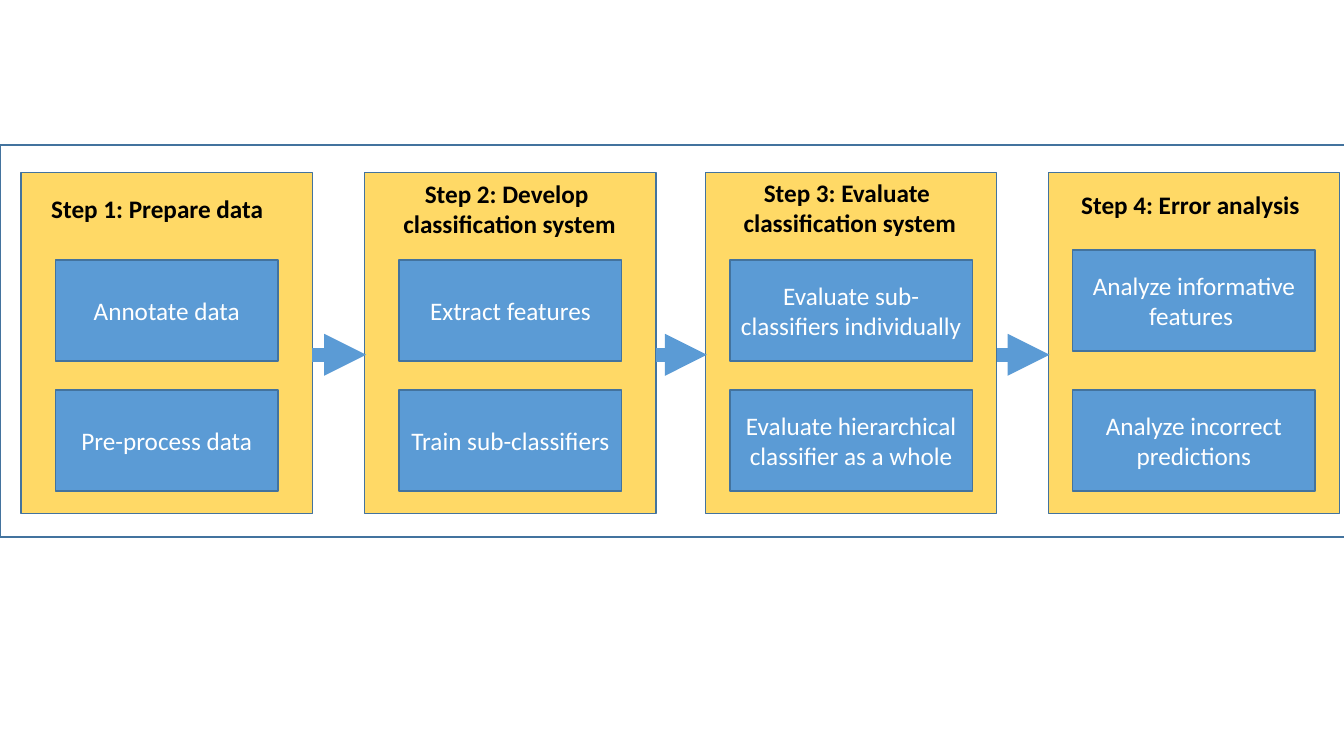
from pptx import Presentation
from pptx.dml.color import RGBColor
from pptx.enum.shapes import MSO_CONNECTOR as Link, MSO_SHAPE as Kind
from pptx.enum.text import MSO_ANCHOR as Anchor, PP_ALIGN as Align
from pptx.oxml.ns import qn
from pptx.util import Pt
from lxml.etree import SubElement

WHITE, BLACK = "FFFFFF", "000000"
GOLD, BLUE, EDGE = "FFD966", "5B9BD5", "43739E"
PANEL_W, PANEL_H, PANEL_TOP = 208, 243.4, 123.2
BOX_H, LOW_TOP, ARROW_Y = 72.2, 278.6, 253.4

STEPS = [
    dict(left=15.1, head=(29.5, 134.6, 179.3, 28.8), align=Align.LEFT,
         title=["Step 1: Prepare data"], width=159, top=185.8,
         tasks=["Annotate data", "Pre-process data"]),
    dict(left=260.6, head=(247.7, 123.8, 232.6, 94.3), align=Align.CENTER,
         title=["Step 2: Develop ", "classification system"], width=159, top=185.8,
         tasks=["Extract features", "Train sub-classifiers"]),
    dict(left=504, head=(492.5, 123.1, 229, 72.7), align=Align.CENTER,
         title=["Step 3: Evaluate ", "classification system"], width=173.2, top=185.8,
         tasks=["Evaluate sub-classifiers individually",
                "Evaluate hierarchical classifier as a whole"]),
    dict(left=748.8, head=(735.8, 131.8, 229, 51.1), align=Align.CENTER,
         title=["Step 4: Error analysis"], width=173.2, top=178.6,
         tasks=["Analyze informative features ", "Analyze incorrect predictions"]),
]


def color(code):
    return RGBColor.from_string(code)


def write(frame, lines, ink, align, bold=False):
    frame.word_wrap = True
    for i, line in enumerate(lines):
        para = frame.paragraphs[0] if i == 0 else frame.add_paragraph()
        para.alignment = align
        run = para.add_run()
        run.text = line
        font = run.font
        font.name, font.size, font.bold = "Calibri", Pt(18), bold
        font.color.rgb = color(ink)


def add_box(slide, area, fill, text=None):
    box = slide.shapes.add_shape(Kind.RECTANGLE, *map(Pt, area))
    box.shadow.inherit = False
    box.fill.solid()
    box.fill.fore_color.rgb = color(fill)
    box.line.color.rgb = color(EDGE)
    box.line.width = Pt(1)
    if text:
        box.text_frame.vertical_anchor = Anchor.MIDDLE
        write(box.text_frame, [text], WHITE, Align.CENTER)


def add_head(slide, area, lines, align):
    label = slide.shapes.add_textbox(*map(Pt, area))
    write(label.text_frame, lines, BLACK, align, bold=True)


def add_arrow(slide, start, end):
    arrow = slide.shapes.add_connector(
        Link.STRAIGHT, Pt(start), Pt(ARROW_Y), Pt(end), Pt(ARROW_Y))
    arrow.line.color.rgb = color(BLUE)
    arrow.line.width = Pt(10)
    props = arrow._element.spPr
    SubElement(props.find(qn("a:ln")), qn("a:tailEnd"), type="triangle")
    SubElement(props, qn("a:effectLst"))


def add_step(slide, step):
    add_box(slide, (step["left"], PANEL_TOP, PANEL_W, PANEL_H), GOLD)
    left = step["left"] + (PANEL_W - step["width"]) / 2
    for top, task in zip((step["top"], LOW_TOP), step["tasks"]):
        add_box(slide, (left, top, step["width"], BOX_H), BLUE, task)
    add_head(slide, step["head"], step["title"], step["align"])


def main():
    deck = Presentation()
    deck.slide_width, deck.slide_height = Pt(960), Pt(540)
    slide = deck.slides.add_slide(deck.slide_layouts[6])
    add_box(slide, (0, 103.7, 974.9, 280), WHITE)
    for step in STEPS:
        add_step(slide, step)
    for step, after in zip(STEPS, STEPS[1:]):
        add_arrow(slide, step["left"] + PANEL_W, after["left"] + 1)
    deck.save("out.pptx")


main()
